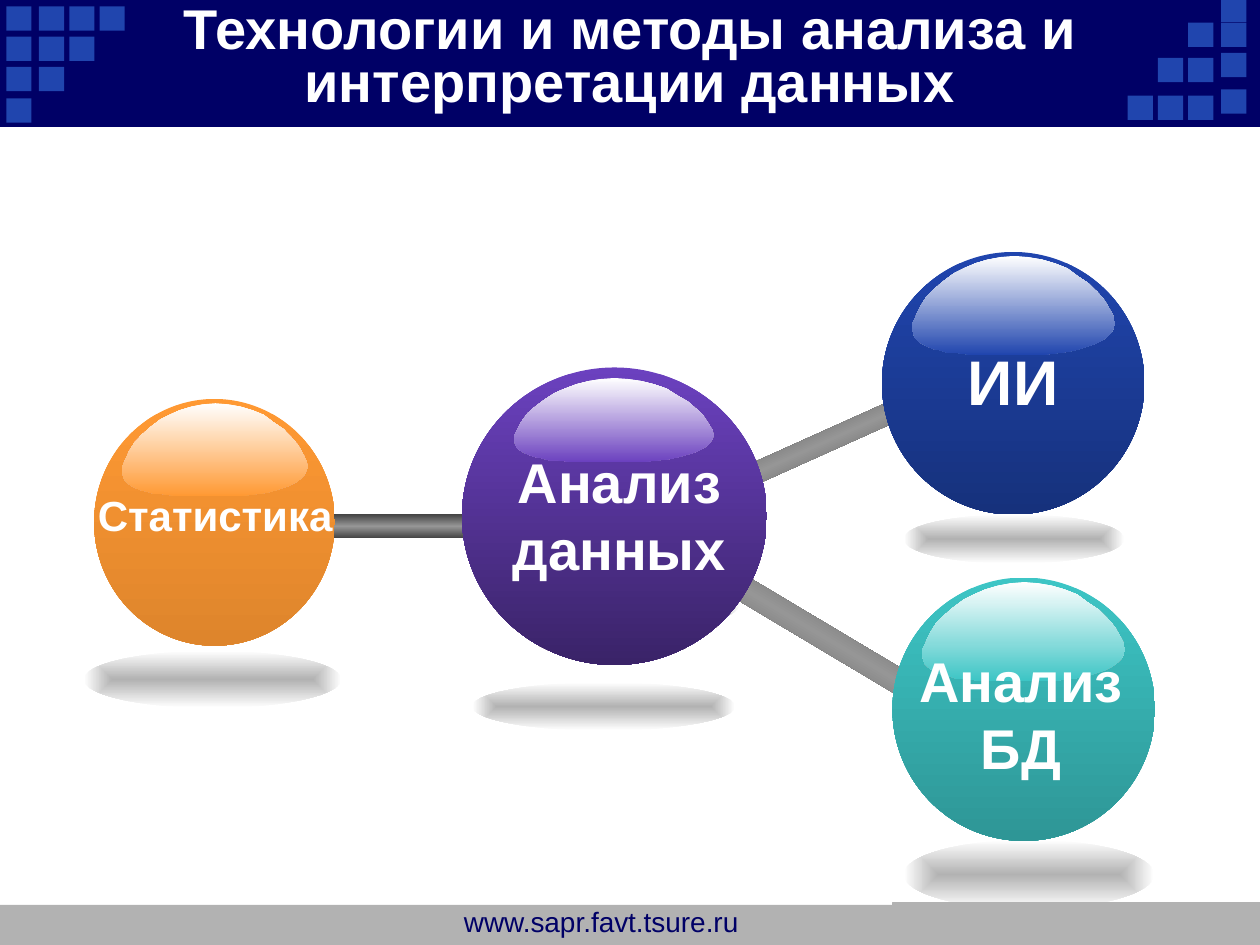
from lxml.etree import SubElement
from pptx import Presentation
from pptx.dml.color import RGBColor
from pptx.enum.shapes import MSO_SHAPE as Preset
from pptx.enum.text import MSO_AUTO_SIZE as AutoSize, PP_ALIGN as Align
from pptx.oxml.ns import qn
from pptx.util import Pt

NAVY = RGBColor(0x00, 0x00, 0x66)
BLUE = RGBColor(0x20, 0x45, 0xAE)
PURPLE = RGBColor(0x6B, 0x41, 0xBF)
ORANGE = RGBColor(0xFF, 0x99, 0x33)
TEAL = RGBColor(0x3D, 0xC5, 0xC5)
SILVER = RGBColor(0xB2, 0xB2, 0xB2)
STEEL = RGBColor(0x96, 0x96, 0x96)
IRON = RGBColor(0x45, 0x45, 0x45)
WHITE = RGBColor(0xFF, 0xFF, 0xFF)

GLOSS_WIDTH, GLOSS_HEIGHT = 161, 79
GLOSS = [
    (158, 45), (160, 49), (161, 54), (160, 57), (158, 61), (155, 64), (151, 67),
    (145, 70), (139, 72), (133, 74), (125, 76), (117, 77), (109, 78), (100, 79),
    (58, 79), (50, 79), (42, 78), (35, 77), (28, 77), (22, 75), (17, 74),
    (12, 72), (8, 70), (5, 68), (2, 65), (1, 62), (0, 58), (0, 54), (2, 50),
    (6, 41), (11, 33), (18, 26), (25, 20), (33, 14), (41, 10), (50, 6), (60, 3),
    (70, 1), (81, 0), (92, 1), (103, 3), (113, 6), (123, 10), (131, 16),
    (140, 22), (147, 29), (153, 36),
]


class Slide:
    font = "Arial"

    def __init__(self, deck):
        self.page = deck.slides.add_slide(deck.slide_layouts[6])

    def shape(self, preset, left, top, width, height, turn=0):
        item = self.page.shapes.add_shape(preset, Pt(left), Pt(top), Pt(width), Pt(height))
        item.shadow.inherit = False
        item.line.fill.background()
        item.rotation = turn
        return item

    def block(self, left, top, width, height, color, outlined=False):
        item = self.shape(Preset.RECTANGLE, left, top, width, height)
        item.fill.solid()
        item.fill.fore_color.rgb = color
        if outlined:
            item.line.color.rgb = color
            item.line.width = Pt(0.75)

    def gradient(self, item, stops, radial=False):
        item.fill.gradient()
        fill = item._element.spPr.find(qn("a:gradFill"))
        for child in list(fill):
            fill.remove(child)
        stop_list = SubElement(fill, qn("a:gsLst"))
        for position, color, shade in stops:
            stop = SubElement(stop_list, qn("a:gs"), pos=str(position * 1000))
            value = SubElement(stop, qn("a:srgbClr"), val=str(color))
            if shade < 100:
                SubElement(value, qn("a:shade"), val=str(shade * 1000))
        if radial:
            course = SubElement(fill, qn("a:path"), path="shape")
            SubElement(course, qn("a:fillToRect"), l="50000", t="50000", r="50000", b="50000")
        else:
            SubElement(fill, qn("a:lin"), ang="5400000", scaled="1")

    def shadow(self, left, top, width, height):
        item = self.shape(Preset.OVAL, left, top, width, height)
        self.gradient(item, [(0, SILVER, 100), (100, WHITE, 100)], radial=True)

    def rod(self, left, top, width, height, turn=0):
        item = self.shape(Preset.RECTANGLE, left, top, width, height, turn)
        self.gradient(item, [(0, IRON, 100), (50, STEEL, 100), (100, IRON, 100)])

    def sphere(self, ball, gloss, color, shade):
        self.gradient(self.shape(Preset.OVAL, *ball), [(0, color, 100), (100, color, shade)])
        left, top, width, height = gloss
        points = [
            (Pt(left + x * width / GLOSS_WIDTH), Pt(top + y * height / GLOSS_HEIGHT))
            for x, y in GLOSS
        ]
        builder = self.page.shapes.build_freeform(*points[0], scale=1.0)
        builder.add_line_segments(points[1:], close=True)
        item = builder.convert_to_shape()
        item.shadow.inherit = False
        item.line.fill.background()
        self.gradient(item, [(0, WHITE, 100), (100, color, 100)])

    def text(self, left, top, width, height, words, size, color=WHITE, bold=True,
             align=Align.CENTER, spacing=None):
        box = self.page.shapes.add_textbox(Pt(left), Pt(top), Pt(width), Pt(height))
        frame = box.text_frame
        frame.word_wrap = True
        frame.auto_size = AutoSize.SHAPE_TO_FIT_TEXT
        para = frame.paragraphs[0]
        para.alignment = align
        if spacing:
            para.line_spacing = spacing
        span = para.add_run()
        span.text = words
        span.font.name = self.font
        span.font.size = Pt(size)
        span.font.bold = bold
        span.font.color.rgb = color


def main():
    deck = Presentation()
    deck.slide_width, deck.slide_height = Pt(720), Pt(540)
    slide = Slide(deck)

    slide.block(0, 517, 720, 23.5, SILVER)
    slide.block(0, 0, 720, 72, NAVY, outlined=True)

    left_columns = [3.6, 22.3, 39.6, 56.9]
    for row, top in enumerate([3.6, 20.9, 38.2, 56.2]):
        for left in left_columns[:4 - row]:
            slide.block(left, top, 14.4, 13.9, BLUE)
    inner_tops = [54.7, 33.1, 13]
    right_columns = [
        (644.4, inner_tops[:1]),
        (661.7, inner_tops[:2]),
        (679, inner_tops),
        (697.8, [51.1, 30.2, 13, -1.4]),
    ]
    for left, tops in right_columns:
        for top in tops:
            slide.block(left, top, 14.4, 13.9, BLUE)

    slide.shadow(516.5, 294, 126, 28)
    slide.shadow(323.5, 331, 99.5, 27.5)
    slide.shadow(516.5, 480, 143, 39.5)
    slide.shadow(48, 372, 147, 32.5)

    slide.rod(417, 355.7, 104.4, 14.4, 210.8)
    slide.rod(186, 294, 79, 13.5)
    slide.rod(430, 246.2, 84.2, 12.2, 335.8)

    slide.sphere((264, 210, 174.2, 170), (293.8, 216, 114, 48.2), PURPLE, 25)
    slide.text(282, 252, 144, 84, "Анализ данных", 32)
    slide.sphere((504, 144, 150, 150), (521.3, 146.2, 116, 56.8), BLUE, 46)
    slide.text(528, 192, 102, 50.5, "ИИ", 36)
    slide.sphere((53.8, 228, 137.5, 141), (69.8, 230.4, 106, 53.2), ORANGE, 73)
    slide.text(48, 276, 150, 55.5, "Статистика", 24)
    slide.sphere((510, 330, 150, 150.5), (527, 332.6, 116, 56.8), TEAL, 54)
    slide.text(510, 366, 147, 84, "Анализ БД", 32)

    slide.text(78, 0, 564, 68.5, "Технологии и методы анализа и интерпретации данных", 32,
               spacing=0.8)
    slide.text(258, 513.5, 173.5, 26.5, "www.sapr.favt.tsure.ru", 16, NAVY, bold=False,
               align=Align.LEFT)
    slide.block(510, 516, 210, 24, SILVER, outlined=True)
    slide.shadow(270, 390, 150, 27.5)

    deck.save("out.pptx")


if __name__ == "__main__":
    main()
